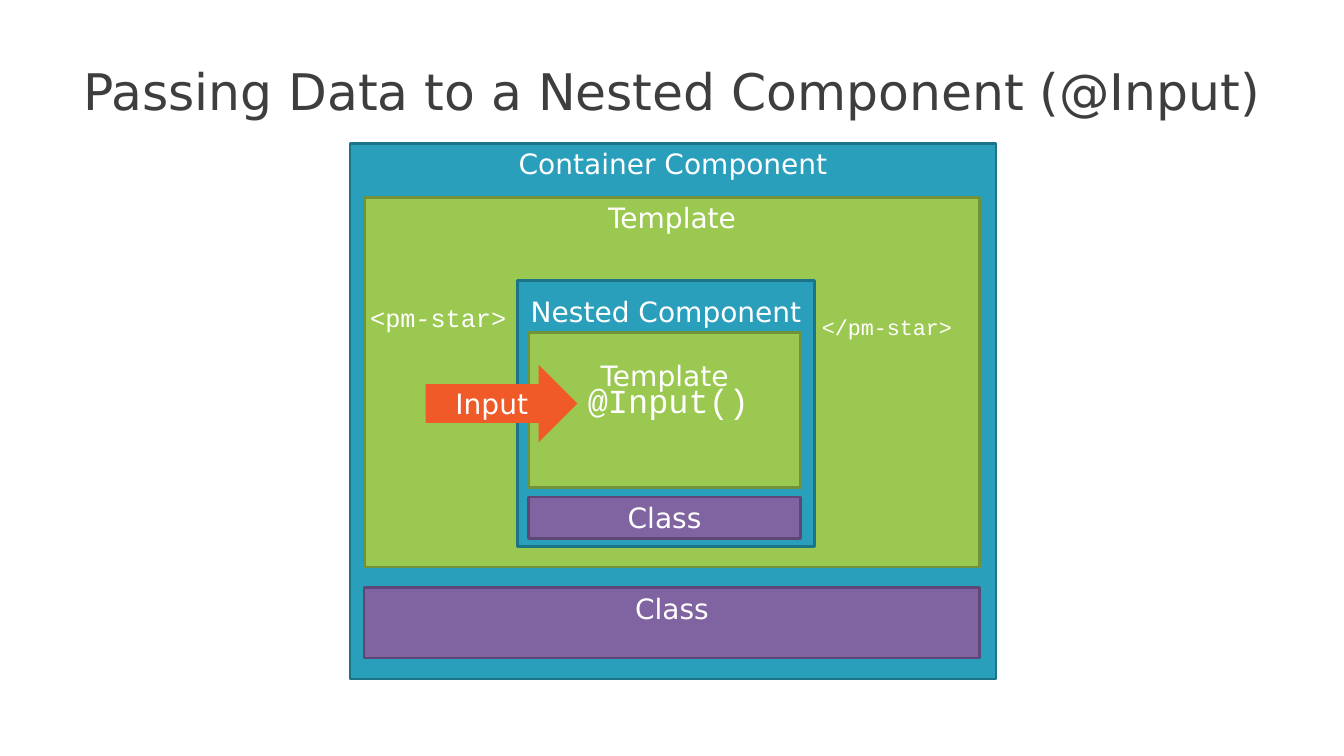
from pptx import Presentation
from pptx.dml.color import RGBColor
from pptx.enum.shapes import MSO_SHAPE
from pptx.enum.text import MSO_ANCHOR, PP_ALIGN
from pptx.util import Pt

WHITE = RGBColor(0xFF, 0xFF, 0xFF)
GREY = RGBColor(0x3E, 0x3E, 0x3E)
ORANGE = RGBColor(0xF0, 0x5A, 0x28)
BLUE = RGBColor(0x2A, 0x9F, 0xBC), RGBColor(0x1C, 0x74, 0x89)
GREEN = RGBColor(0x9B, 0xC8, 0x50), RGBColor(0x71, 0x92, 0x38)
PURPLE = RGBColor(0x80, 0x64, 0xA2), RGBColor(0x5C, 0x47, 0x76)
SANS, MONO = "DejaVu Sans", "Courier New"


def write(shape, text, size=20, font=SANS, color=WHITE, align=PP_ALIGN.CENTER,
          anchor=MSO_ANCHOR.MIDDLE, top=0, wrap=True):
    frame = shape.text_frame
    frame.word_wrap = wrap
    frame.vertical_anchor = anchor
    frame.margin_left = frame.margin_right = frame.margin_bottom = 0
    frame.margin_top = Pt(top)
    para = frame.paragraphs[0]
    para.alignment = align
    run = para.add_run()
    run.text = text
    run.font.size = Pt(size)
    run.font.name = font
    run.font.color.rgb = color


deck = Presentation()
deck.slide_width, deck.slide_height = Pt(960), Pt(540)
slide = deck.slides.add_slide(deck.slide_layouts[5])
shapes = slide.shapes

title = shapes.title
title.left, title.top, title.width, title.height = Pt(59.5), Pt(42), Pt(880), Pt(45)
write(title, "Passing Data to a Nested Component (@Input)", 36, color=GREY,
      align=PP_ALIGN.LEFT)

# Panels from back to front: label, colours, left, top, width, height, label inset
panels = [
    ("Container Component", BLUE, 250, 102.5, 461.5, 382.5, 2.5),
    ("Class", PURPLE, 260, 419.5, 440, 50.5, 3),
    ("Template", GREEN, 260.5, 141, 439, 264, 2.5),
    ("Nested Component", BLUE, 369.5, 200.5, 212.5, 190, 9.5),
    ("Class", PURPLE, 377.5, 355, 194.5, 29.5, 2.5),
    ("Template", GREEN, 377.5, 237.5, 194.5, 111, 18.5),
]
for label, (fill, edge), left, top, width, height, inset in panels:
    panel = shapes.add_shape(MSO_SHAPE.RECTANGLE, Pt(left), Pt(top), Pt(width), Pt(height))
    panel.shadow.inherit = False
    panel.fill.solid()
    panel.fill.fore_color.rgb = fill
    panel.line.color.rgb = edge
    panel.line.width = Pt(2.04)
    write(panel, label, anchor=MSO_ANCHOR.TOP, top=inset)

arrow = shapes.add_shape(MSO_SHAPE.RIGHT_ARROW, Pt(304), Pt(260.5), Pt(108.5), Pt(55.5))
arrow.shadow.inherit = False
arrow.fill.solid()
arrow.fill.fore_color.rgb = ORANGE
arrow.line.fill.background()
write(arrow, "Input")

# Code labels: text, size, left, top, width, height
codes = [
    ("<pm-star>", 18, 264, 216, 98, 22),
    ("</pm-star>", 15.5, 587, 223.5, 93, 20),
    ("@Input()", 24, 419, 271.5, 117, 29),
]
for text, size, left, top, width, height in codes:
    box = shapes.add_textbox(Pt(left), Pt(top), Pt(width), Pt(height))
    write(box, text, size, MONO, wrap=False)

deck.save("out.pptx")
